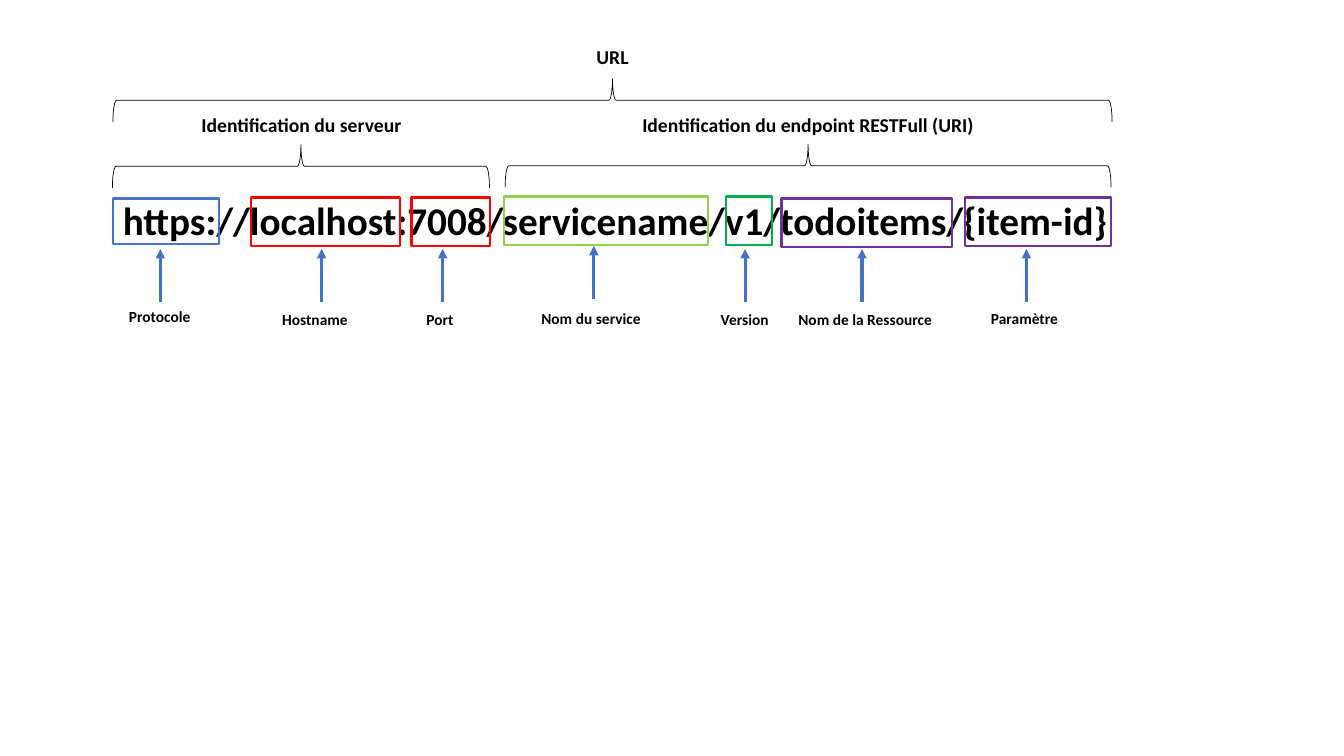
from dataclasses import dataclass

from lxml.etree import SubElement
from pptx import Presentation
from pptx.dml.color import RGBColor
from pptx.enum.shapes import MSO_CONNECTOR, MSO_SHAPE
from pptx.enum.text import MSO_AUTO_SIZE, PP_ALIGN
from pptx.oxml.ns import qn
from pptx.util import Emu, Pt

EMU_PER_PX = 9144  # 100 px to the inch
FONT = "Calibri"
BLACK = "000000"
BLUE = "4472C4"
RED = "FF0000"
PURPLE = "7030A0"
ARROW_LENGTH = 53
BRACE_DEPTH = 43
TITLE_HEIGHT = 34
LABEL_HEIGHT = 29


@dataclass(frozen=True)
class Box:
    left: int
    top: int
    width: int
    height: int


@dataclass(frozen=True)
class UrlPart:
    frame: Box
    color: str
    arrow_x: int
    arrow_tip: int
    label: str
    label_left: int
    label_top: int
    label_width: int


@dataclass(frozen=True)
class Section:
    title: str
    left: int
    width: int
    title_top: int
    brace_top: int


URL = "https://localhost:7008/servicename/v1/todoitems/{item-id}"
URL_BOX = Box(112, 190, 1004, 57)

PARTS = [
    UrlPart(Box(112, 197, 105, 45), BLUE, 159, 247, "Protocole", 118, 300, 82),
    UrlPart(Box(249, 196, 148, 48), RED, 319, 247, "Hostname", 270, 303, 86),
    UrlPart(Box(408, 196, 78, 48), RED, 439, 247, "Port", 413, 303, 48),
    UrlPart(Box(500, 195, 202, 48), "92D050", 589, 244, "Nom du service", 527, 302, 119),
    UrlPart(Box(720, 195, 46, 48), "00B050", 739, 247, "Version", 705, 303, 69),
    UrlPart(Box(775, 197, 169, 48), PURPLE, 855, 247, "Nom de la Ressource", 782, 303, 154),
    UrlPart(Box(957, 196, 145, 48), PURPLE, 1018, 247, "Paramètre", 973, 302, 88),
]

SECTIONS = [
    Section("Identification du serveur", 112, 374, 107, 143),
    Section("Identification du endpoint RESTFull (URI)", 501, 601, 107, 143),
    Section("URL", 112, 991, 40, 78),
]


def px(length: int) -> Emu:
    return Emu(length * EMU_PER_PX)


def rgb(color: str) -> RGBColor:
    return RGBColor.from_string(color)


def emu_box(box: Box) -> tuple[Emu, Emu, Emu, Emu]:
    return px(box.left), px(box.top), px(box.width), px(box.height)


def add_text(slide, text: str, box: Box, size: int, align=PP_ALIGN.LEFT, wrap: bool = True) -> None:
    frame = slide.shapes.add_textbox(*emu_box(box)).text_frame
    frame.word_wrap = wrap
    frame.auto_size = MSO_AUTO_SIZE.SHAPE_TO_FIT_TEXT
    paragraph = frame.paragraphs[0]
    paragraph.alignment = align
    run = paragraph.add_run()
    run.text = text
    font_format = {"name": FONT, "size": Pt(size), "bold": True}
    for attribute, value in font_format.items():
        setattr(run.font, attribute, value)
    run.font.color.rgb = rgb(BLACK)


def add_outline(slide, kind: MSO_SHAPE, box: Box, color: str, weight: float, rotation: int = 0) -> None:
    shape = slide.shapes.add_shape(kind, *emu_box(box))
    shape.rotation = rotation
    shape.shadow.inherit = False
    shape.fill.background()
    shape.line.color.rgb = rgb(color)
    shape.line.width = Pt(weight)


def add_up_arrow(slide, x: int, tip: int) -> None:
    arrow = slide.shapes.add_connector(
        MSO_CONNECTOR.STRAIGHT, px(x), px(tip + ARROW_LENGTH), px(x), px(tip)
    )
    arrow.line.color.rgb = rgb(BLUE)
    arrow.line.width = Pt(2.25)
    SubElement(arrow.line._get_or_add_ln(), qn("a:tailEnd"), type="triangle")
    SubElement(arrow._element.spPr, qn("a:effectLst"))


def add_part(slide, part: UrlPart) -> None:
    add_outline(slide, MSO_SHAPE.RECTANGLE, part.frame, part.color, 1.75)
    add_up_arrow(slide, part.arrow_x, part.arrow_tip)
    label_box = Box(part.label_left, part.label_top, part.label_width, LABEL_HEIGHT)
    add_text(slide, part.label, label_box, 11, wrap=False)


def add_section(slide, section: Section) -> None:
    """Draw a title above a right brace turned to point upwards."""
    inset = (section.width - BRACE_DEPTH) // 2
    upright = Box(section.left + inset, section.brace_top - inset, BRACE_DEPTH, section.width)
    add_outline(slide, MSO_SHAPE.RIGHT_BRACE, upright, BLACK, 0.5, rotation=270)
    title_box = Box(section.left, section.title_top, section.width, TITLE_HEIGHT)
    add_text(slide, section.title, title_box, 14, PP_ALIGN.CENTER)


def main() -> None:
    deck = Presentation()
    deck.slide_width, deck.slide_height = px(1333), px(750)
    slide = deck.slides.add_slide(deck.slide_layouts[6])
    add_text(slide, URL, URL_BOX, 28)
    for part in PARTS:
        add_part(slide, part)
    for section in SECTIONS:
        add_section(slide, section)
    deck.save("out.pptx")


if __name__ == "__main__":
    main()
